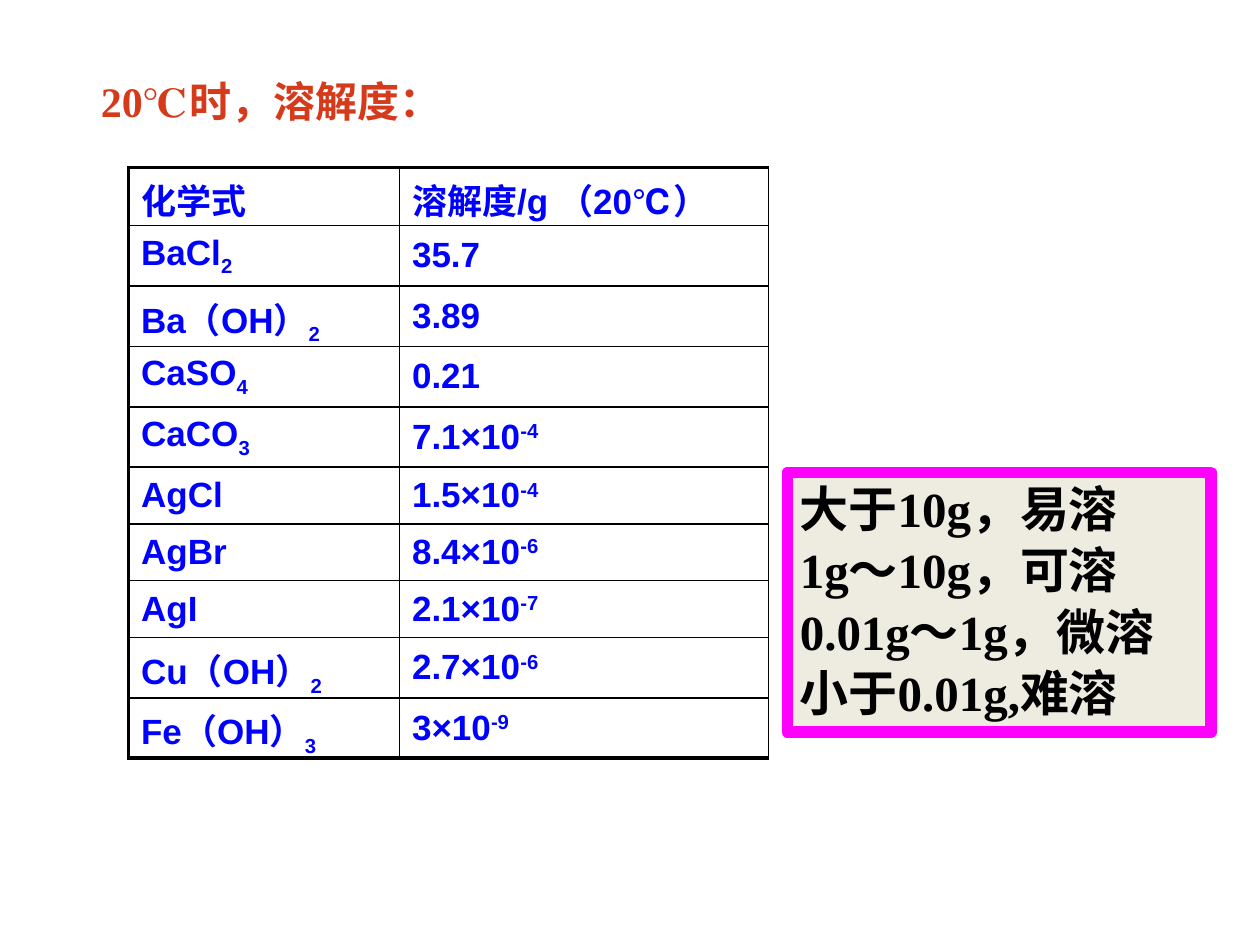
from pptx import Presentation
from pptx.dml.color import RGBColor
from pptx.enum.shapes import MSO_SHAPE
from pptx.enum.text import MSO_ANCHOR, MSO_AUTO_SIZE, PP_ALIGN
from pptx.oxml import parse_xml
from pptx.oxml.ns import nsdecls
from pptx.util import Inches, Pt

RED = RGBColor(0xD5, 0x3A, 0x1B)
BLUE = RGBColor(0x00, 0x00, 0xFF)
BLACK = RGBColor(0x00, 0x00, 0x00)
PINK = RGBColor(0xFF, 0x00, 0xFF)
CREAM = RGBColor(0xEE, 0xEC, 0xE1)

SERIF = "Times New Roman"
SANS = "Arial"
THIN, THICK = 1, 2.25

# "_" starts a subscript, "^" a superscript
SALTS = [
    ("化学式", "溶解度/g （20℃）"),
    ("BaCl_2", "35.7"),
    ("Ba（OH）_2", "3.89"),
    ("CaSO_4", "0.21"),
    ("CaCO_3", "7.1×10^-4"),
    ("AgCl", "1.5×10^-4"),
    ("AgBr", "8.4×10^-6"),
    ("AgI", "2.1×10^-7"),
    ("Cu（OH）_2", "2.7×10^-6"),
    ("Fe（OH）_3", "3×10^-9"),
]
SHIFTS = {"_": "-25000", "^": "30000"}
WIDTHS = [2.15, 2.93]
HEIGHTS = [0.46, 0.48] + [0.45] * 8

RULES = ["大于10g，易溶", "1g～10g，可溶", "0.01g～1g，微溶", "小于0.01g,难溶"]


class Page:
    def __init__(self, deck):
        self.slide = deck.slides.add_slide(deck.slide_layouts[5])

    def style(self, para, size, face, color):
        para.alignment = PP_ALIGN.LEFT
        for run in para.runs:
            font = run.font
            font.size, font.name, font.bold = Pt(size), face, True
            font.color.rgb = color

    def title(self, text, left, top, width, height):
        shape = self.slide.shapes.title
        shape.left, shape.top = Inches(left), Inches(top)
        shape.width, shape.height = Inches(width), Inches(height)
        frame = shape.text_frame
        frame.text = text
        frame.word_wrap = False
        frame.auto_size = MSO_AUTO_SIZE.SHAPE_TO_FIT_TEXT
        frame.vertical_anchor = MSO_ANCHOR.MIDDLE
        self.style(frame.paragraphs[0], 24, SERIF, RED)

    def panel(self, lines, left, top, width, height):
        shape = self.slide.shapes.add_shape(
            MSO_SHAPE.RECTANGLE, Inches(left), Inches(top),
            Inches(width), Inches(height))
        shape.shadow.inherit = False
        shape.fill.solid()
        shape.fill.fore_color.rgb = CREAM
        shape.line.color.rgb = PINK
        shape.line.width = Pt(6.75)
        frame = shape.text_frame
        frame.text = "\n".join(lines)
        frame.word_wrap = True
        frame.auto_size = MSO_AUTO_SIZE.SHAPE_TO_FIT_TEXT
        frame.vertical_anchor = MSO_ANCHOR.TOP
        for i, para in enumerate(frame.paragraphs):
            para.space_before = Pt(1.4 if i else 0)
            self.style(para, 28, SERIF, BLACK)

    def border(self, cell, sides):
        props = cell._tc.get_or_add_tcPr()
        for side, width in sides.items():
            props.append(parse_xml(
                f'<a:ln{side} {nsdecls("a")} w="{Pt(width)}"><a:solidFill>'
                f'<a:srgbClr val="{BLACK}"/></a:solidFill></a:ln{side}>'))

    def formula(self, para, text):
        """Write text, raising or lowering what follows a mark."""
        mark = next((m for m in SHIFTS if m in text), None)
        base, _, script = text.partition(mark) if mark else (text, "", "")
        para.text = base
        if script:
            run = para.add_run()
            run.text = script
            run._r.get_or_add_rPr().set("baseline", SHIFTS[mark])
        self.style(para, 20, SANS, BLUE)

    def table(self, rows, left, top):
        table = self.slide.shapes.add_table(
            len(rows), len(WIDTHS), Inches(left), Inches(top),
            Inches(sum(WIDTHS)), Inches(sum(HEIGHTS))).table
        table.first_row = table.horz_banding = False
        for col, width in zip(table.columns, WIDTHS):
            col.width = Inches(width)
        last = len(rows) - 1
        for r, row in enumerate(rows):
            table.rows[r].height = Inches(HEIGHTS[r])
            for c, text in enumerate(row):
                cell = table.cell(r, c)
                cell.vertical_anchor = MSO_ANCHOR.MIDDLE
                self.formula(cell.text_frame.paragraphs[0], text)
                self.border(cell, {
                    "L": THIN if c else THICK,
                    "R": THIN,
                    "T": THIN if r else THICK,
                    "B": THICK if r == last else THIN,
                })
                cell.fill.background()


def main():
    deck = Presentation()
    deck.slide_width, deck.slide_height = Inches(10), Inches(7.5)
    page = Page(deck)
    page.title("20℃时，溶解度：", 0.7, 0.55, 2.91, 0.5)
    page.panel(RULES, 6.25, 3.75, 3.36, 2.06)
    page.table(SALTS, 1.02, 1.33)
    deck.save("out.pptx")


if __name__ == "__main__":
    main()
